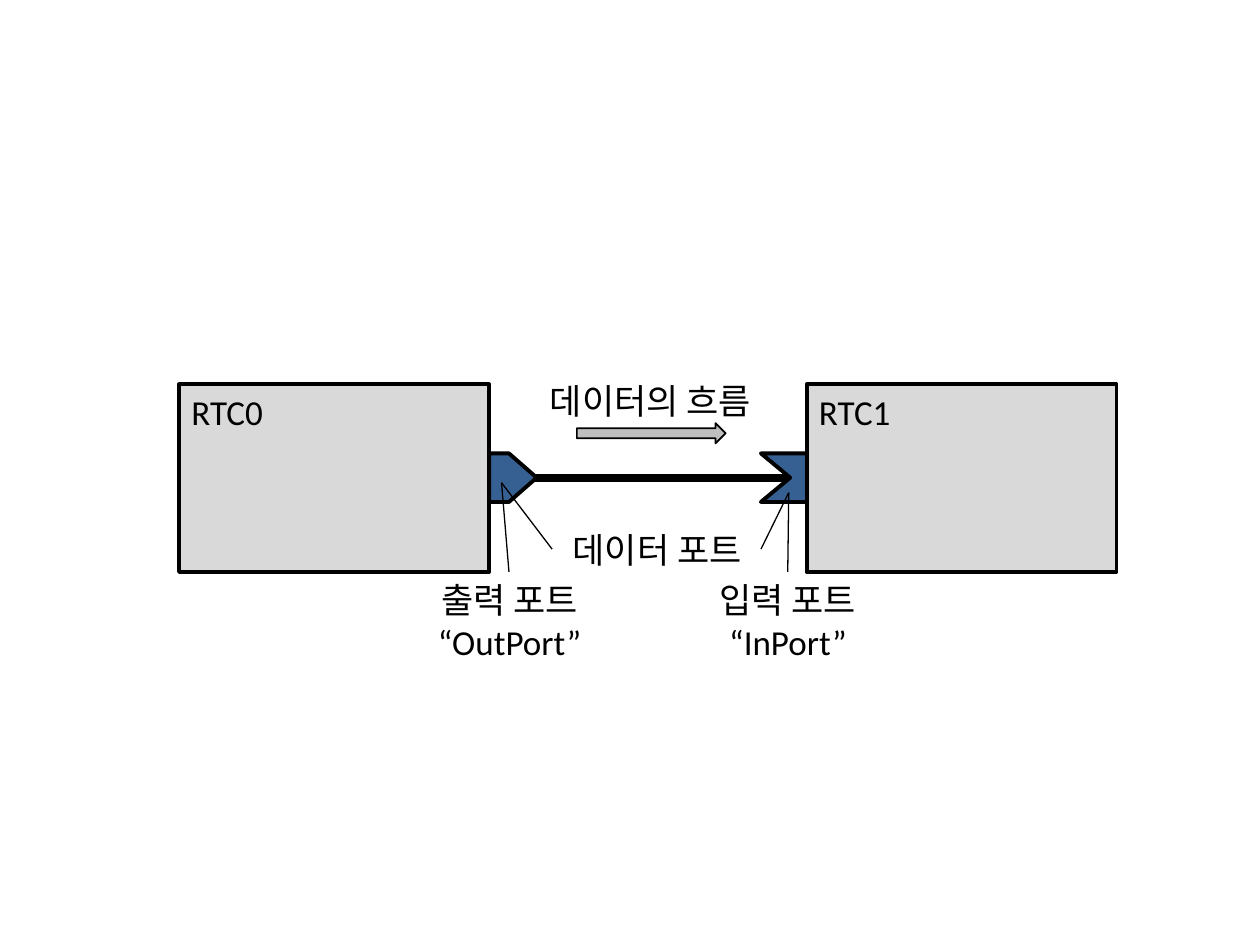
from pptx import Presentation
from pptx.dml.color import RGBColor
from pptx.enum import shapes, text
from pptx.oxml import ns, xmlchemy
from pptx.util import Cm, Pt

BLACK = RGBColor(0x00, 0x00, 0x00)
COMPONENT_GRAY = RGBColor(0xD9, 0xD9, 0xD9)
FLOW_GRAY = RGBColor(0xBF, 0xBF, 0xBF)
PORT_BLUE = RGBColor(0x37, 0x60, 0x92)


def write_text(shape, content, size=20, font="Calibri", color=BLACK,
               align=text.PP_ALIGN.CENTER, wrap=False):
    frame = shape.text_frame
    frame.word_wrap = wrap
    frame.vertical_anchor = text.MSO_ANCHOR.TOP
    frame.text = content
    for paragraph in frame.paragraphs:
        paragraph.alignment = align
        paragraph.font.size = Pt(size)
        paragraph.font.name = font
        paragraph.font.color.rgb = color


def add_line(start, end, width):
    line = slide.shapes.add_connector(
        shapes.MSO_CONNECTOR.STRAIGHT, *map(Cm, start + end))
    line.line.color.rgb = BLACK
    line.line.width = Pt(width)
    line._element.spPr.append(xmlchemy.OxmlElement("a:effectLst"))


presentation = Presentation()
presentation.slide_width = Cm(25.4)
presentation.slide_height = Cm(19.05)
slide = presentation.slides.add_slide(presentation.slide_layouts[6])
outlined = []  # shape, fill colour, outline width

# Connection between the ports
axis = 9.63
add_line((9.86, axis), (16.26, axis), 4.5)

# Input port (notched) and output port (pointed)
top, bottom = axis - 0.49, axis + 0.49
in_port = [(15.34, top), (16.31, top), (16.31, bottom), (15.34, bottom), (15.93, axis)]
out_port = [(9.86, top), (10.26, top), (10.82, axis), (10.26, bottom), (9.86, bottom)]
for outline in (in_port, out_port):
    points = [(Cm(x), Cm(y)) for x, y in outline]
    builder = slide.shapes.build_freeform(*points[0])
    builder.add_line_segments(points[1:], close=True)
    outlined.append((builder.convert_to_shape(), PORT_BLUE, 2.25))

# Components
for name, left in (("RTC0", 3.61), ("RTC1", 16.26)):
    component = slide.shapes.add_shape(
        shapes.MSO_SHAPE.RECTANGLE, Cm(left), Cm(7.75), Cm(6.25), Cm(3.78))
    write_text(component, name, align=text.PP_ALIGN.LEFT, wrap=True)
    outlined.append((component, COMPONENT_GRAY, 2.25))

# Data flow arrow
flow = slide.shapes.add_shape(
    shapes.MSO_SHAPE.RIGHT_ARROW, Cm(11.63), Cm(8.53), Cm(3), Cm(0.41))
outlined.append((flow, FLOW_GRAY, 1))

# Fills and outlines
for shape, fill, width in outlined:
    shape.shadow.inherit = False
    shape.fill.solid()
    shape.fill.fore_color.rgb = fill
    shape.line.color.rgb = BLACK
    shape.line.width = Pt(width)

# Labels
labels = [
    ("출력 포트\n“OutPort”", 8.51, 11.53, 3.53, 1.96),
    ("입력 포트\n“InPort”", 14.12, 11.53, 3.53, 1.96),
    ("데이터의 흐름", 10.64, 7.52, 4.95, 1.12),
    ("데이터 포트", 11.13, 10.52, 4.24, 1.12),
]
for content, *box in labels:
    label = slide.shapes.add_textbox(*map(Cm, box))
    write_text(label, content)
    label.text_frame.auto_size = text.MSO_AUTO_SIZE.SHAPE_TO_FIT_TEXT

# Leader lines from each port to its two labels
leaders = [
    ((10.11, 9.73), [(10.26, 11.53), (11.13, 11.07)]),
    ((15.9, 9.93), [(15.88, 11.53), (15.34, 11.07)]),
]
for port, ends in leaders:
    for end in ends:
        add_line(port, end, 0.75)

presentation.save("out.pptx")
